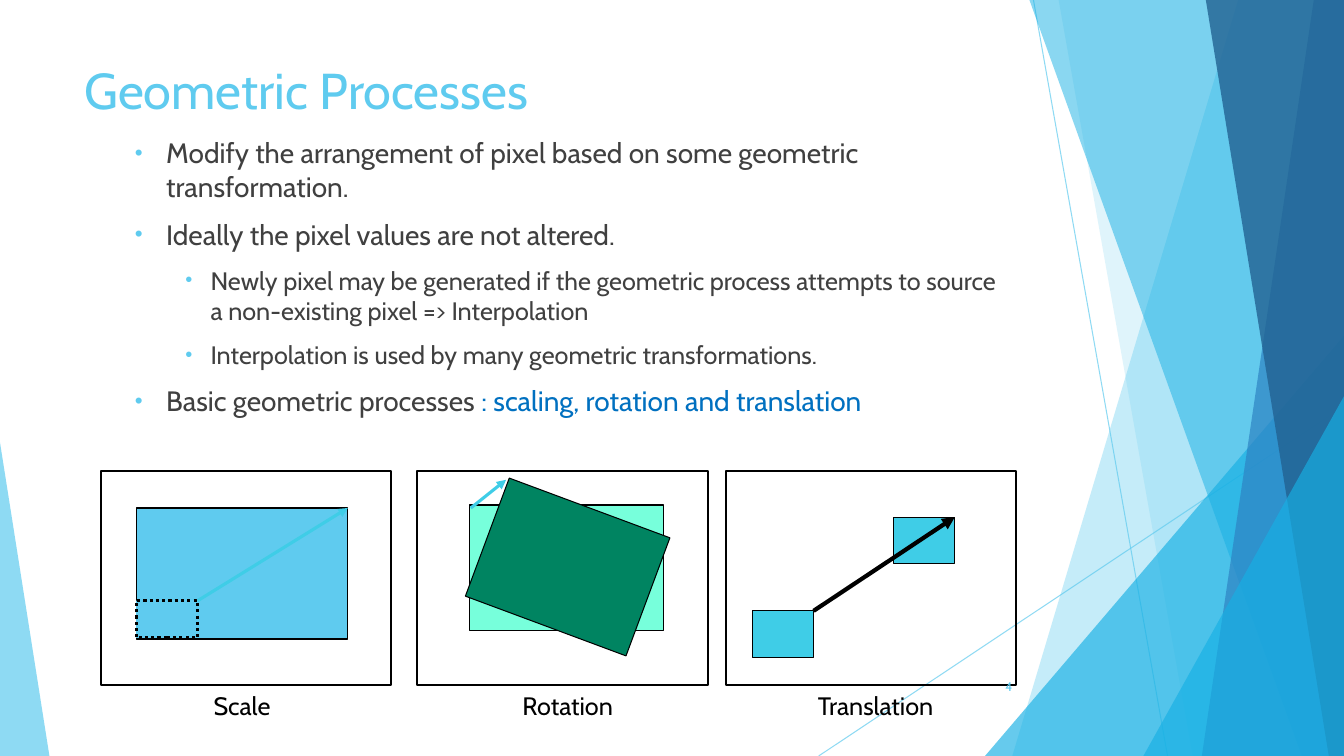
"""Build the Geometric Processes slide with its three transformation diagrams."""
from lxml.etree import SubElement
from pptx import Presentation
from pptx.dml.color import RGBColor
from pptx.enum.dml import MSO_LINE
from pptx.enum.shapes import MSO_CONNECTOR, MSO_SHAPE
from pptx.enum.text import MSO_ANCHOR, PP_ALIGN
from pptx.oxml.ns import qn
from pptx.util import Inches, Pt

COLORS = {
    "sky": "5FCBEF", "azure": "17B0E4", "blue": "2E83C3", "navy": "226292",
    "cyan": "3FCDE7", "mint": "77FFDB", "green": "008461",
    "black": "000000", "text": "404040", "accent": "0070C0",
}


def add_text(p, text, size=18, color="black", align=PP_ALIGN.LEFT):
    """Add a formatted run to a paragraph."""
    p.alignment = align
    r = p.add_run()
    r.text = text
    r.font.name = "Cabin"
    r.font.size = Pt(size)
    r.font.color.rgb = RGBColor.from_string(COLORS[color])


def style(s, fill=None, line=None, width=0.75, dash=None, opacity=100, arrow=False):
    """Set fill, outline, opacity and arrowhead, without a shadow."""
    if fill:
        s.fill.solid()
        s.fill.fore_color.rgb = RGBColor.from_string(COLORS[fill])
    elif hasattr(s, "fill"):
        s.fill.background()
    if line:
        s.line.color.rgb = RGBColor.from_string(COLORS[line])
        s.line.width = Pt(width)
        if dash:
            s.line.dash_style = dash
    else:
        s.line.fill.background()
    props = s._element.spPr
    if opacity < 100:
        for color in props.iter(qn("a:srgbClr")):
            SubElement(color, qn("a:alpha"), val=str(opacity * 1000))
    if arrow:
        SubElement(props.find(qn("a:ln")), qn("a:tailEnd"), type="triangle")
    SubElement(props, qn("a:effectLst"))


prs = Presentation()
prs.slide_width, prs.slide_height = Inches(13.33), Inches(7.5)
shapes = prs.slides.add_slide(prs.slide_layouts[6]).shapes

for ends in [(10.25, 0, 11.58, 7.5), (13.33, 4.03, 8.12, 7.5)]:
    s = shapes.add_connector(MSO_CONNECTOR.STRAIGHT, *map(Inches, ends))
    style(s, line="sky", opacity=70)

facets = [
    ("band", (12.28, 10.04), "sky", 36),
    ("band", (10.5, 11.83), "sky", 20),
    ("triangle", (9.77, 3.33, 3.56, 4.17, 1), "azure", 66),
    ("band", (10.21, 12.91), "azure", 50),
    ("band", (13.03, 11.92), "blue", 70),
    ("band", (11.96, 13.18), "navy", 80),
    ("triangle", (11.34, 3.93, 1.99, 3.57, 1), "azure", 66),
    ("triangle", (0, 4.39, 0.49, 3.11, 0), "sky", 70),
]
for kind, geometry, color, opacity in facets:
    if kind == "band":
        top_x, bottom_x = geometry
        outline = shapes.build_freeform(Inches(top_x), 0)
        corners = [(13.33, 0), (13.33, 7.5), (bottom_x, 7.5)]
        outline.add_line_segments([(Inches(x), Inches(y)) for x, y in corners])
        s = outline.convert_to_shape()
    else:
        *box, apex = geometry
        s = shapes.add_shape(MSO_SHAPE.ISOSCELES_TRIANGLE, *map(Inches, box))
        s.adjustments[0] = apex
    style(s, fill=color, opacity=opacity)

bullets = [
    (1, [("Modify the arrangement of pixel based on some geometric transformation.", "text")]),
    (1, [("Ideally the pixel values are not altered.", "text")]),
    (2, [("Newly pixel may be generated if the geometric process attempts to source "
          "a non-existing pixel => Interpolation", "text")]),
    (2, [("Interpolation is used by many geometric transformations.", "text")]),
    (1, [("Basic geometric processes ", "text"),
         (": scaling, rotation and translation", "accent")]),
]
levels = {1: (0.81, -0.31, 20), 2: (1.25, -0.25, 18)}
tf = shapes.add_textbox(Inches(0.74), Inches(1.3), Inches(9.4), Inches(4.24)).text_frame
tf.word_wrap = True
for i, (level, runs) in enumerate(bullets):
    p = tf.add_paragraph() if i else tf.paragraphs[0]
    margin, indent, size = levels[level]
    pPr = p._p.get_or_add_pPr()
    pPr.set("marL", str(Inches(margin)))
    pPr.set("indent", str(Inches(indent)))
    SubElement(SubElement(pPr, qn("a:buClr")), qn("a:srgbClr"), val=COLORS["sky"])
    SubElement(pPr, qn("a:buSzPct"), val="80000")
    SubElement(pPr, qn("a:buFont"), typeface="Arial")
    SubElement(pPr, qn("a:buChar"), char="•")
    p.level = level
    if i:
        p.space_before = Pt(10)
    for text, color in runs:
        add_text(p, text, size=size, color=color)

rectangles = [((x, 4.67, 2.88, 2.13), 0, dict(line="black", width=1.5)) for x in (1, 4.14, 7.2)]
rectangles += [
    ((1.35, 5.04, 2.1, 1.3), 0, dict(fill="sky", line="black")),
    ((1.35, 5.96, 0.61, 0.37), 0,
     dict(fill="sky", line="black", width=2.25, dash=MSO_LINE.ROUND_DOT)),
    ((4.66, 5.01, 1.92, 1.25), 0, dict(fill="mint", line="black")),
    ((4.78, 5, 1.7, 1.25), 20.4, dict(fill="green", line="black")),
    ((7.46, 6.06, 0.61, 0.46), 0, dict(fill="cyan", line="black")),
    ((8.86, 5.13, 0.61, 0.46), 0, dict(fill="cyan", line="black")),
]
for box, rotation, look in rectangles:
    s = shapes.add_shape(MSO_SHAPE.RECTANGLE, *map(Inches, box))
    s.rotation = rotation
    style(s, **look)

arrows = [
    ((1.96, 5.96, 3.45, 5.04), "cyan", 2.25),
    ((4.67, 5.04, 5.02, 4.76), "cyan", 2.25),
    ((8.07, 6.06, 9.47, 5.13), "black", 3),
]
for ends, color, width in arrows:
    s = shapes.add_connector(MSO_CONNECTOR.STRAIGHT, *map(Inches, ends))
    style(s, line=color, width=width, arrow=True)

labels = [
    ("Geometric Processes", (0.74, 0.51, 9.4, 0.75), dict(size=36, color="sky")),
    ("4", (9.39, 6.61, 0.75, 0.4), dict(size=9, color="sky", align=PP_ALIGN.RIGHT)),
    ("Scale", (1.79, 6.8, 1.22, 0.4), dict(align=PP_ALIGN.CENTER)),
    ("Rotation", (5.02, 6.8, 1.22, 0.4), dict(align=PP_ALIGN.CENTER)),
    ("Translation", (7.81, 6.8, 1.75, 0.4), dict(align=PP_ALIGN.CENTER)),
]
for text, box, look in labels:
    tf = shapes.add_textbox(*map(Inches, box)).text_frame
    tf.word_wrap = True
    tf.vertical_anchor = MSO_ANCHOR.MIDDLE
    add_text(tf.paragraphs[0], text, **look)

prs.save("out.pptx")
